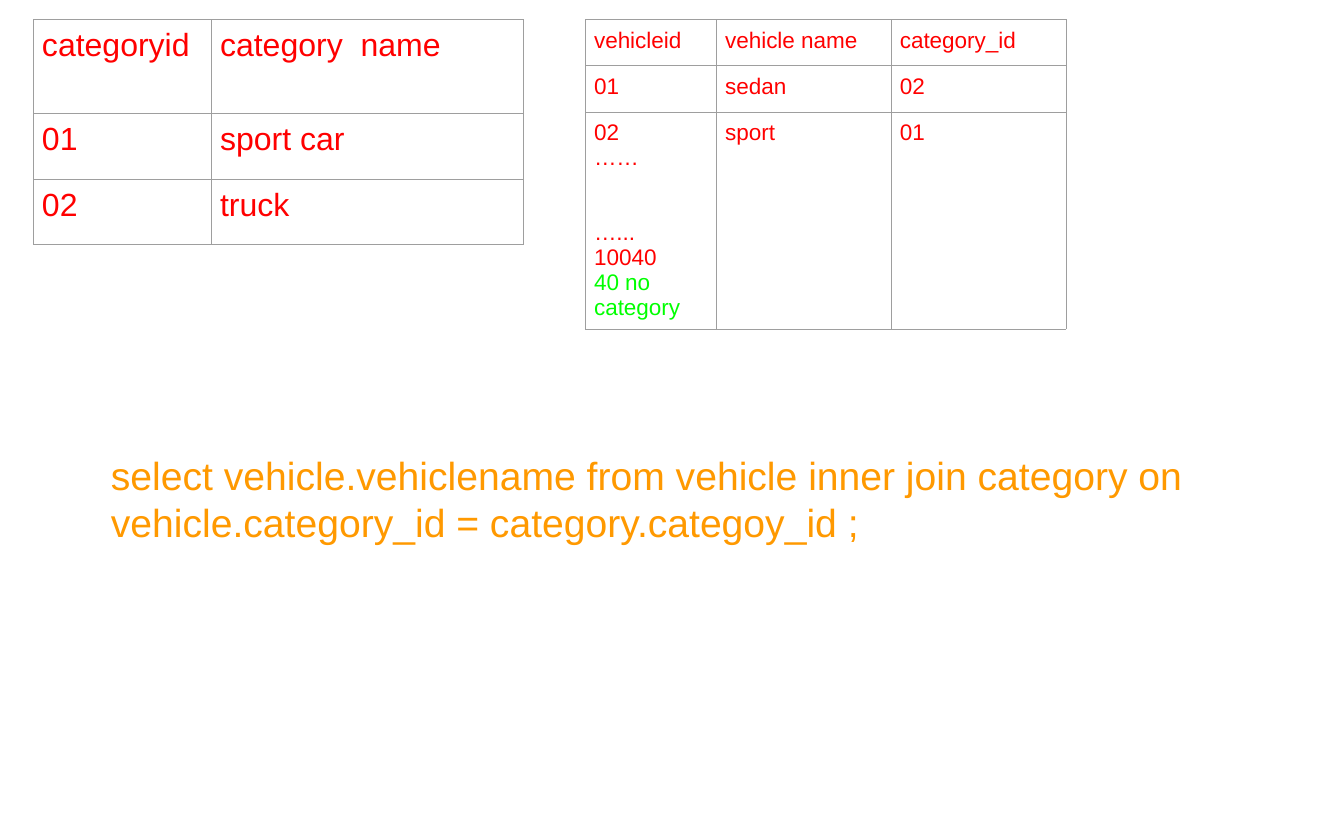
"""Build a slide with category and vehicle tables and the query joining them."""
import pptx
import pptx.dml.color
import pptx.oxml
import pptx.oxml.ns
import pptx.util

Cm = pptx.util.Cm
Pt = pptx.util.Pt
COLOURS = {"table": "FF0000", "note": "00FF00", "query": "FF9900", "border": "9E9E9E"}
INSETS = {f"margin_{side}": Cm(0.25) for side in ("left", "right", "top", "bottom")}


def write(paragraph, text, size, colour):
    """Put one run of coloured Arial text in a paragraph."""
    run = paragraph.add_run()
    run.text = text
    for name, value in {"name": "Arial", "size": Pt(size)}.items():
        setattr(run.font, name, value)
    run.font.color.rgb = pptx.dml.color.RGBColor.from_string(COLOURS[colour])


def add_borders(cell):
    """Draw a thin line on each side of a table cell."""
    properties = cell._tc.get_or_add_tcPr()
    for position, side in enumerate(("lnL", "lnR", "lnT", "lnB")):
        line = pptx.oxml.parse_xml(
            f'<a:{side} {pptx.oxml.ns.nsdecls("a")} w="{Pt(0.75)}"><a:solidFill>'
            f'<a:srgbClr val="{COLOURS["border"]}"/></a:solidFill></a:{side}>')
        properties.insert(position, line)


presentation = pptx.Presentation()
presentation.slide_width = Cm(40)
presentation.slide_height = Cm(25)
slide = presentation.slides.add_slide(presentation.slide_layouts[6])

tables = [
    {"left": 1, "size": 27, "widths": [5.3, 9.28], "heights": [2.8, 1.95, 1.95],
     "rows": [["categoryid", "category  name"], ["01", "sport car"], ["02", "truck"]]},
    {"left": 17.43, "size": 19, "widths": [3.9, 5.2, 5.2], "heights": [1.38, 1.38, 6.17],
     "rows": [["vehicleid", "vehicle name", "category_id"], ["01", "sedan", "02"],
              ["02\n……\n…...\n10040\n40 no category", "sport", "01"]]},
]

for details in tables:
    widths, heights, rows = details["widths"], details["heights"], details["rows"]
    table = slide.shapes.add_table(
        len(rows), len(widths), Cm(details["left"]), Cm(0.58),
        Cm(sum(widths)), Cm(sum(heights))).table
    table.first_row = table.horz_banding = False
    for column, width in zip(table.columns, widths):
        column.width = Cm(width)
    for row, height, texts in zip(table.rows, heights, rows):
        row.height = Cm(height)
        for cell, text in zip(row.cells, texts):
            for name, value in INSETS.items():
                setattr(cell, name, value)
            cell.fill.background()
            add_borders(cell)
            for index, line in enumerate(text.split("\n")):
                frame = cell.text_frame
                paragraph = frame.add_paragraph() if index else frame.paragraphs[0]
                if line == "…...":
                    paragraph.space_before = Pt(42)
                write(paragraph, line, details["size"],
                      "note" if line == "40 no category" else "table")

query = slide.shapes.add_textbox(Cm(3.05), Cm(13.2), Cm(32.95), Cm(3.33)).text_frame
for name, value in {**INSETS, "word_wrap": True}.items():
    setattr(query, name, value)
write(query.paragraphs[0],
      "select vehicle.vehiclename from vehicle inner join category on "
      "vehicle.category_id = category.categoy_id ;", 33, "query")

presentation.save("out.pptx")
